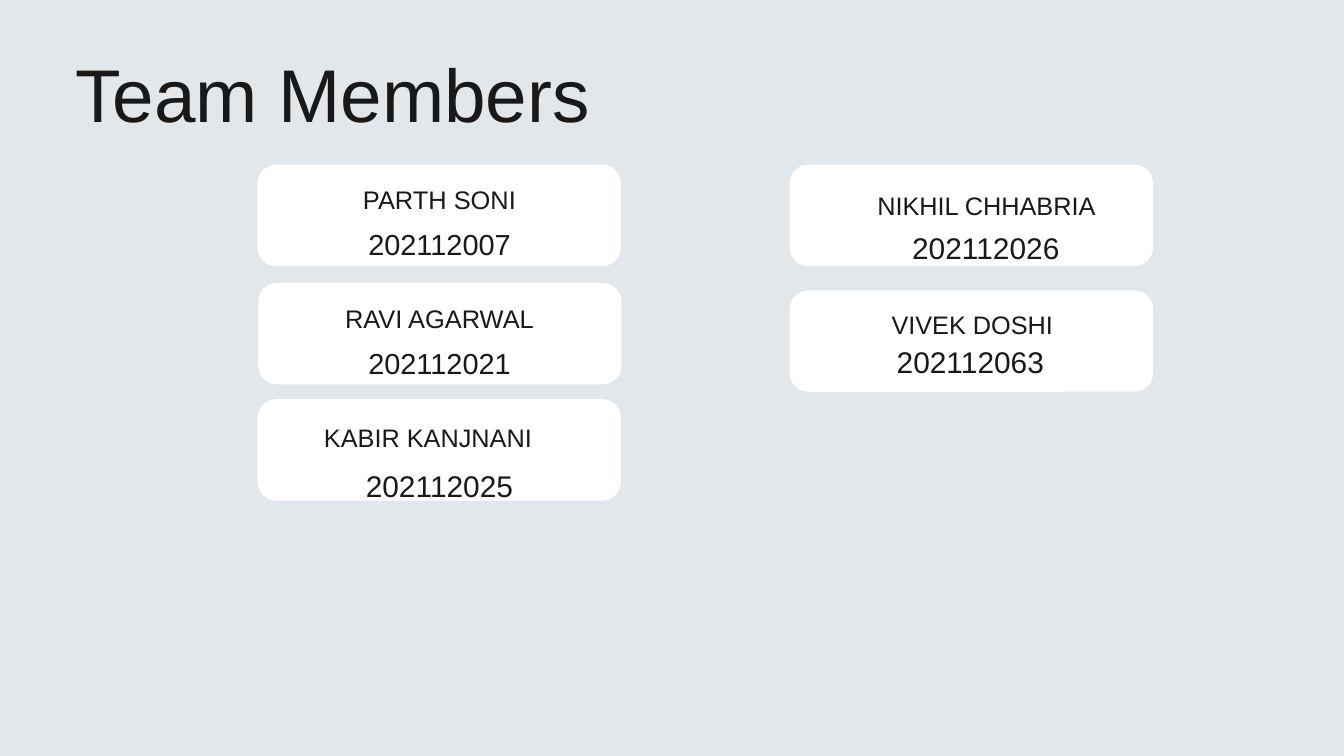
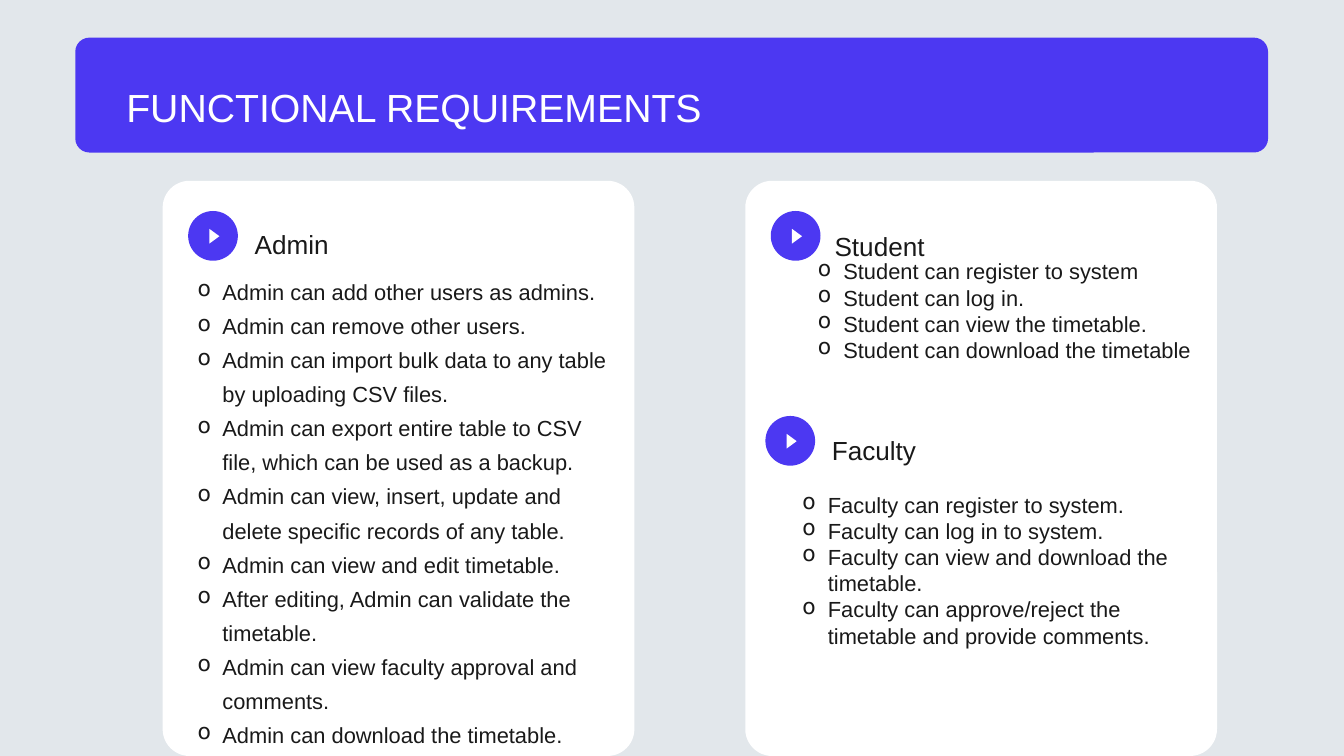
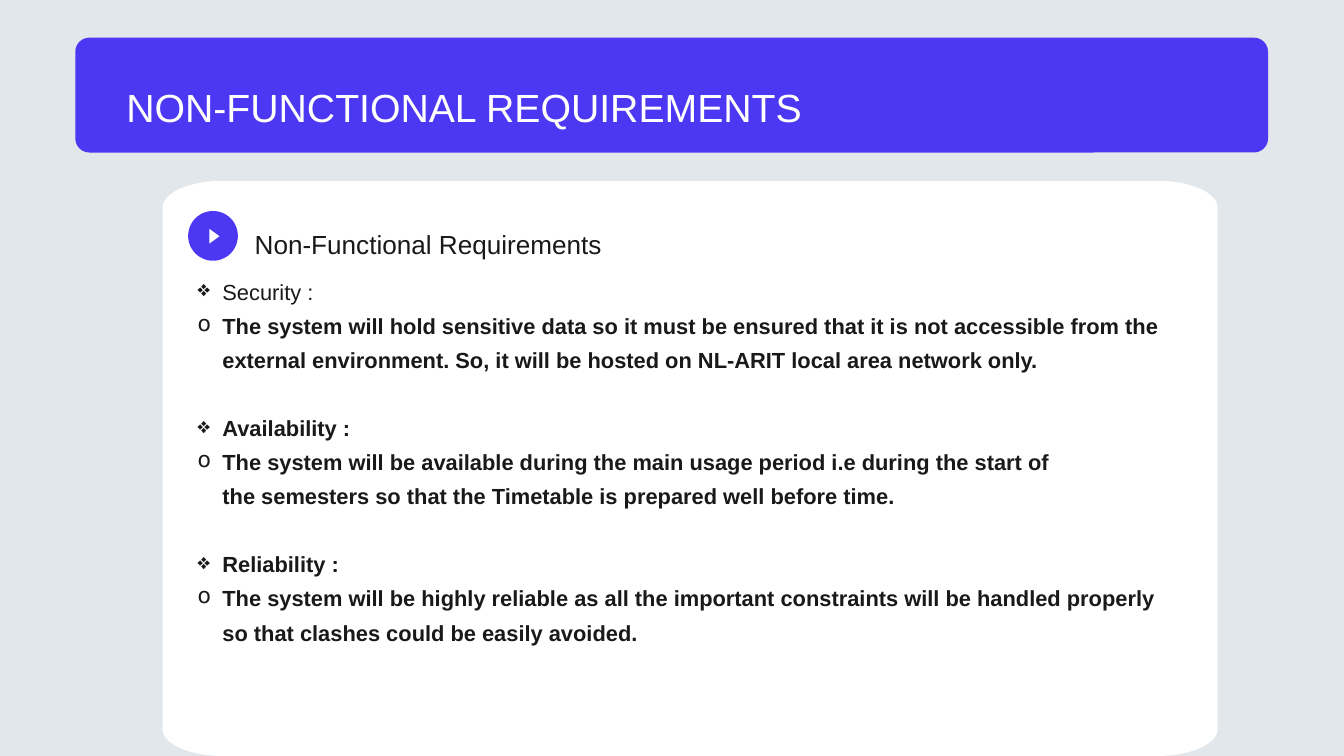
import math
from dataclasses import dataclass

from lxml import etree
from pptx import Presentation
from pptx.dml.color import RGBColor
from pptx.enum import shapes, text
from pptx.oxml import ns
from pptx.util import Inches, Pt

PAPER, INK, WHITE, VIOLET = "E2E7EB", "191919", "FFFFFF", "4C38F2"
FONT = "Arial"
BODY_SIZE = 23.4
BODY_LINE = 36.4
SHAPE = shapes.MSO_SHAPE


@dataclass
class Member:
    left: float
    top: float
    name: str
    name_offset: tuple
    name_size: float
    number: str
    number_offset: tuple
    number_size: float


@dataclass
class Item:
    words: str
    bullet: str = "o"
    bold: bool = False
    before: float = 0


MEMBERS = [
    Member(3.83, 2.45, "PARTH SONI", (0.22, 0.15), 27.2, "202112007", (0.22, 0.72), 31),
    Member(3.84, 4.21, "RAVI AGARWAL", (0.21, 0.17), 27.2, "202112021", (0.21, 0.73), 31),
    Member(3.83, 5.94, "KABIR KANJNANI", (0.05, 0.2), 27.1, "202112025", (0.22, 0.8), 32),
    Member(11.75, 2.45, "NIKHIL CHHABRIA", (0.44, 0.25), 27.1, "202112026", (0.43, 0.75), 32),
    Member(11.75, 4.32, "VIVEK DOSHI", (0.23, 0.14), 27.1, "202112063", (0.2, 0.58), 32),
]

ADMIN = [
    "Admin can add other users as admins.",
    "Admin can remove other users.",
    "Admin can import bulk data to any table by uploading CSV files.",
    "Admin can export entire table to CSV file, which can be used as a backup.",
    "Admin can view, insert, update and delete specific records of any table.",
    "Admin can view and edit timetable.",
    "After editing, Admin can validate the timetable.",
    "Admin can view faculty approval and comments.",
    "Admin can download the timetable.",
]
STUDENT = [
    "Student can register to system",
    "Student can log in.",
    "Student can view the timetable.",
    "Student can download the timetable",
]
FACULTY = [
    "Faculty can register to system.",
    "Faculty can log in to system.",
    "Faculty can view and download the timetable.",
    "Faculty can approve/reject the timetable and provide comments.",
]
QUALITIES = [
    Item("Security :", "❖"),
    Item("The system will hold sensitive data so it must be ensured that it is not "
         "accessible from the external environment. So, it will be hosted on "
         "NL-ARIT local area network only.", bold=True),
    Item("Availability :", "❖", True, BODY_LINE),
    Item("The system will be available during the main usage period i.e during "
         "the start of", bold=True),
    Item("the semesters so that the Timetable is prepared well before time.", "", True),
    Item("Reliability :", "❖", True, BODY_LINE),
    Item("The system will be highly reliable as all the important constraints will "
         "be handled properly so that clashes could be easily avoided.", bold=True),
]


def rgb(value):
    return RGBColor.from_string(value)


def paint(shape, color):
    shape.shadow.inherit = False
    shape.fill.solid()
    shape.fill.fore_color.rgb = rgb(color)
    shape.line.fill.background()
    return shape


def add_preset(slide, kind, box, color):
    return paint(slide.shapes.add_shape(kind, *map(Inches, box)), color)


def add_rounded(slide, box, radius, color):
    panel = add_preset(slide, SHAPE.ROUNDED_RECTANGLE, box, color)
    panel.adjustments[0] = radius / min(box[2:])


def add_stretched_panel(slide, box, radius_x, radius_y, color):
    left, top, width, height = box
    corners = [
        (left + width - radius_x, top + height - radius_y, 0),
        (left + radius_x, top + height - radius_y, 90),
        (left + radius_x, top + radius_y, 180),
        (left + width - radius_x, top + radius_y, 270),
    ]
    points = []
    for x, y, start in corners:
        for degrees in range(start, start + 91, 5):
            angle = math.radians(degrees)
            points.append((Inches(x + radius_x * math.cos(angle)),
                           Inches(y + radius_y * math.sin(angle))))
    outline = slide.shapes.build_freeform(*points[0])
    outline.add_line_segments(points[1:], close=True)
    paint(outline.convert_to_shape(), color)


def add_frame(slide, box):
    frame = slide.shapes.add_textbox(*map(Inches, box)).text_frame
    frame.margin_left = frame.margin_right = frame.margin_top = frame.margin_bottom = 0
    frame.word_wrap = True
    frame.auto_size = text.MSO_AUTO_SIZE.SHAPE_TO_FIT_TEXT
    return frame


def style(paragraph, size, color=INK, spacing=None, bold=None):
    paragraph.line_spacing = spacing
    for run in paragraph.runs:
        run.font.name = FONT
        run.font.size = Pt(size)
        run.font.color.rgb = rgb(color)
        run.font.bold = bold


def add_label(slide, box, words, size, spacing=1.3, color=INK, centered=False):
    frame = add_frame(slide, box)
    frame.text = words
    line = frame.paragraphs[0]
    style(line, size, color, spacing)
    if centered:
        line.alignment = text.PP_ALIGN.CENTER


def set_bullet(paragraph, mark, indent, hanging):
    props = paragraph._p.get_or_add_pPr()
    props.set("marL", str(Inches(indent)))
    props.set("indent", str(-Inches(hanging) if mark else 0))
    if not mark:
        etree.SubElement(props, ns.qn("a:buNone"))
        return
    tint = etree.SubElement(props, ns.qn("a:buClr"))
    etree.SubElement(tint, ns.qn("a:srgbClr"), val=INK)
    etree.SubElement(props, ns.qn("a:buChar"), char=mark)


def add_list(slide, box, items, indent, hanging, spacing=None):
    frame = add_frame(slide, box)
    for index, item in enumerate(items):
        line = frame.add_paragraph() if index else frame.paragraphs[0]
        line.text = item.words
        line.level = 1
        style(line, BODY_SIZE, spacing=spacing, bold=item.bold)
        line.space_before = Pt(item.before)
        set_bullet(line, item.bullet, indent, hanging)


def add_play_badge(slide, left, top):
    add_preset(slide, SHAPE.OVAL, (left, top, 0.74, 0.74), VIOLET)
    arrow = add_preset(slide, SHAPE.ISOSCELES_TRIANGLE,
                       (left + 0.28, top + 0.3, 0.22, 0.15), WHITE)
    arrow.rotation = 90


def add_role(slide, left, top, role, role_offset, role_width=5.04):
    add_play_badge(slide, left, top)
    dx, dy = role_offset
    add_label(slide, (left + dx, top + dy, role_width, 0.48), role, 28)


def add_banner(slide, title):
    left, top = 1.12, 0.56
    add_rounded(slide, (left, top, 17.75, 1.71), 0.21, VIOLET)
    add_label(slide, (left + 0.76, top + 0.47, 16.24, 0.73), title, 42, color=WHITE)


def add_member_card(slide, member):
    add_rounded(slide, (member.left, member.top, 5.41, 1.51), 0.28, WHITE)
    for words, (dx, dy), size, spacing in (
        (member.name, member.name_offset, member.name_size, 1.3),
        (member.number, member.number_offset, member.number_size, 1.4),
    ):
        box = (member.left + dx, member.top + dy, 4.98, 0.55)
        add_label(slide, box, words, size, spacing, centered=True)


def new_slide(deck):
    slide = deck.slides.add_slide(deck.slide_layouts[6])
    slide.background.fill.solid()
    slide.background.fill.fore_color.rgb = rgb(PAPER)
    return slide


def build_team(deck):
    slide = new_slide(deck)
    add_label(slide, (1.12, 0.45, 10.49, 1.34), "Team Members", 80, 1.2)
    for member in MEMBERS:
        add_member_card(slide, member)


def build_functional(deck):
    slide = new_slide(deck)
    top = 2.69
    admin_left, users_left = 2.42, 11.09
    for left in (admin_left, users_left):
        add_rounded(slide, (left, top, 7.02, 8.56), 0.4, WHITE)
    add_banner(slide, "FUNCTIONAL REQUIREMENTS")

    add_role(slide, admin_left + 0.38, top + 0.45, "Admin", (0.99, 0.12))
    add_list(slide, (admin_left + 0.24, top + 1.34, 6.54, 6.7),
             map(Item, ADMIN), 0.65, 0.37, 1.3)

    add_role(slide, users_left + 0.38, top + 0.45, "Student", (0.95, 0.15))
    add_list(slide, (users_left + 0.75, top + 1.15, 5.99, 1.97),
             map(Item, STUDENT), 0.71, 0.38)

    add_role(slide, users_left + 0.3, top + 3.5, "Faculty", (0.99, 0.13))
    add_list(slide, (users_left + 0.52, top + 4.62, 5.99, 2.36),
             map(Item, FACULTY), 0.71, 0.38)


def build_non_functional(deck):
    slide = new_slide(deck)
    left, top = 2.42, 2.69
    add_stretched_panel(slide, (left, top, 15.7, 8.56), 0.9, 0.4, WHITE)
    add_banner(slide, "NON-FUNCTIONAL REQUIREMENTS")
    add_role(slide, left + 0.38, top + 0.45, "Non-Functional Requirements",
             (0.99, 0.12), 8.46)
    add_list(slide, (left + 0.24, top + 1.34, 14.76, 5.02), QUALITIES, 0.65, 0.37, 1.3)


def main():
    deck = Presentation()
    deck.slide_width, deck.slide_height = Inches(20), Inches(11.25)
    build_team(deck)
    build_functional(deck)
    build_non_functional(deck)
    deck.save("out.pptx")


if __name__ == "__main__":
    main()
